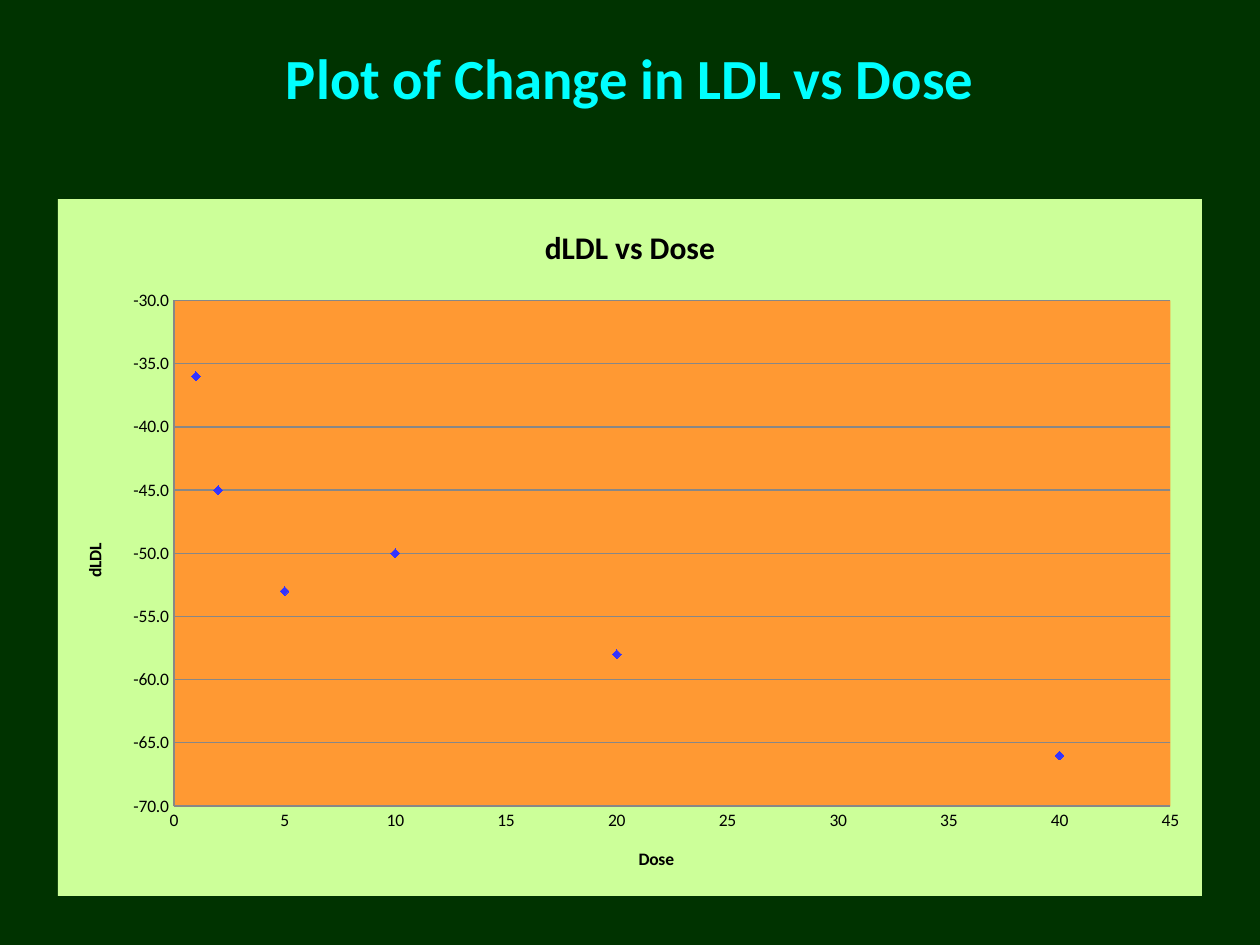
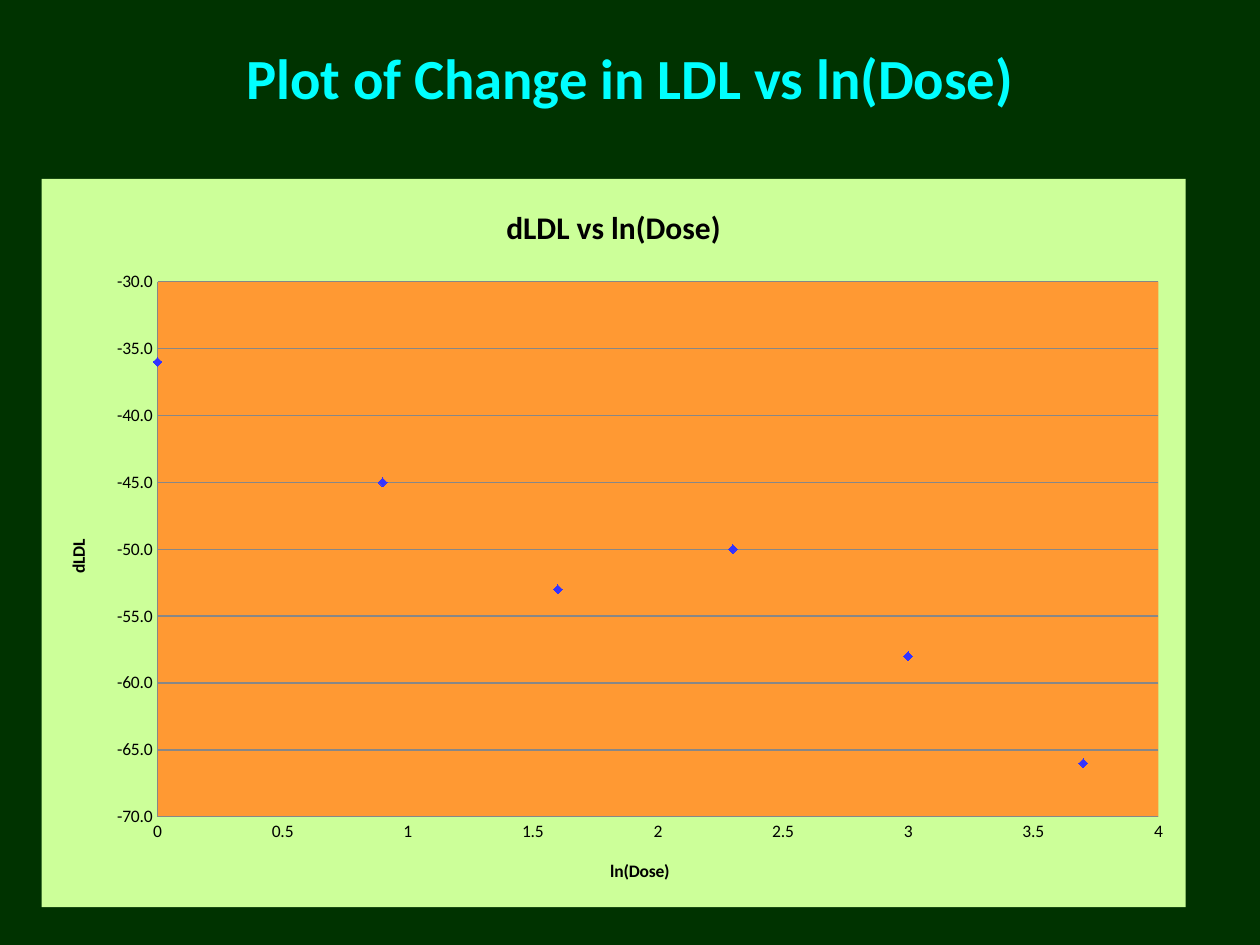
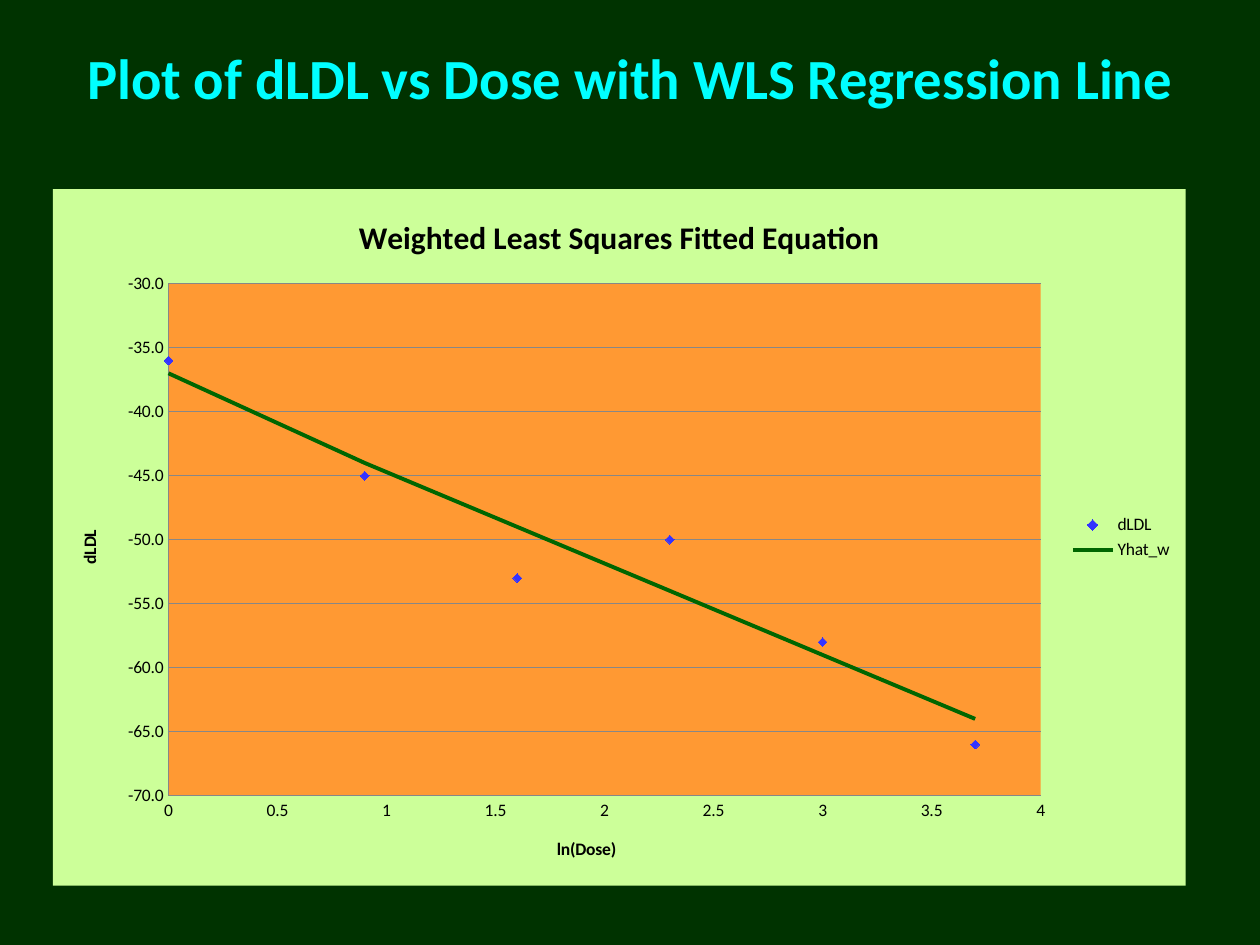
from pptx import Presentation
from pptx.chart.data import XyChartData
from pptx.dml.color import RGBColor
from pptx.enum.chart import (XL_AXIS_CROSSES, XL_CHART_TYPE, XL_LEGEND_POSITION,
                             XL_MARKER_STYLE, XL_TICK_MARK)
from pptx.enum.text import MSO_ANCHOR, PP_ALIGN
from pptx.oxml import parse_xml
from pptx.util import Inches, Pt

SCATTER = XL_CHART_TYPE.XY_SCATTER
DIAMOND, NO_MARKER = XL_MARKER_STYLE.DIAMOND, XL_MARKER_STYLE.NONE
NO_TICK = XL_TICK_MARK.NONE
AT_MINIMUM = XL_AXIS_CROSSES.MINIMUM
LEGEND_RIGHT = XL_LEGEND_POSITION.RIGHT
CENTER, MIDDLE = PP_ALIGN.CENTER, MSO_ANCHOR.MIDDLE
NAMESPACES = ('xmlns:c="http://schemas.openxmlformats.org/drawingml/2006/chart" '
              'xmlns:a="http://schemas.openxmlformats.org/drawingml/2006/main"')

FONT = "Calibri"
COLORS = {
    "background": "003300",
    "title": "00FFFF",
    "chart": "CCFF99",
    "plot": "FF9933",
    "marker": "3333FF",
    "fit": "006600",
    "grid": "878787",
    "text": "000000",
}
COLOR = {name: RGBColor.from_string(value) for name, value in COLORS.items()}

DOSE = [1, 2, 5, 10, 20, 40]
LN_DOSE = [0, 0.9, 1.6, 2.3, 3, 3.7]
LDL_CHANGE = [-36, -45, -53, -50, -58, -66]
FITTED = [-37, -44, -49, -54, -59, -64]

# "inner" gives the plot's left, top, width and height as shares of the chart.
PLOTS = [
    {"title": "Plot of Change in LDL vs Dose", "chart_title": "dLDL vs Dose",
     "at": (0.46, 1.58, 9.08, 5.53), "x_title": "Dose", "x": DOSE,
     "x_max": 45, "x_step": 5, "series": {"Series 1": LDL_CHANGE}},
    {"title": "Plot of Change in LDL vs ln(Dose)", "chart_title": "dLDL vs ln(Dose)",
     "at": (0.33, 1.42, 9.08, 5.78), "x_title": "ln(Dose)", "x": LN_DOSE,
     "x_max": 4, "x_step": 0.5, "series": {"Series 1": LDL_CHANGE}},
    {"title": "Plot of dLDL vs Dose with WLS Regression Line",
     "chart_title": "Weighted Least Squares Fitted Equation",
     "at": (0.42, 1.5, 8.99, 5.53), "x_title": "ln(Dose)", "x": LN_DOSE,
     "x_max": 4, "x_step": 0.5, "series": {"dLDL": LDL_CHANGE, "Yhat_w": FITTED},
     "inner": {"x": 0.102, "y": 0.136, "w": 0.77, "h": 0.735}},
]


def write(frame, text, size=10, color="text", bold=True):
    para = frame.paragraphs[0]
    para.alignment = CENTER
    span = para.add_run()
    span.text = text
    span.font.name = FONT
    span.font.size = Pt(size)
    span.font.bold = bold
    span.font.color.rgb = COLOR[color]


def area_fill(color):
    """Return chart shape properties with a solid fill and no outline."""
    return parse_xml(
        f'<c:spPr {NAMESPACES}>'
        f'<a:solidFill><a:srgbClr val="{COLORS[color]}"/></a:solidFill>'
        '<a:ln><a:noFill/></a:ln></c:spPr>')


deck = Presentation()
deck.slide_width, deck.slide_height = Inches(10), Inches(7.5)
blank_layout = deck.slide_layouts[6]

for plot in PLOTS:
    page = deck.slides.add_slide(blank_layout)
    page.background.fill.solid()
    page.background.fill.fore_color.rgb = COLOR["background"]

    box = page.shapes.add_textbox(Inches(0.5), Inches(0.3), Inches(9), Inches(0.62))
    box.text_frame.word_wrap = True
    box.text_frame.vertical_anchor = MIDDLE
    write(box.text_frame, plot["title"], size=32.4, color="title")

    data = XyChartData()
    for name, values in plot["series"].items():
        points = data.add_series(name)
        for x, y in zip(plot["x"], values):
            points.add_data_point(x, y)
    chart = page.shapes.add_chart(SCATTER, *map(Inches, plot["at"]), data).chart
    chart.font.name = FONT
    chart.font.size = Pt(10)
    chart.font.color.rgb = COLOR["text"]
    chart.has_title = True
    write(chart.chart_title.text_frame, plot["chart_title"], size=18)
    chart.chart_title.include_in_layout = False
    chart.plots[0].vary_by_categories = False

    chart_part = chart.element.find("{*}chart")
    chart_part.addnext(area_fill("chart"))
    plot_area = chart_part.find("{*}plotArea")
    plot_area.append(area_fill("plot"))
    if "inner" in plot:
        for automatic in plot_area.findall("{*}layout"):
            plot_area.remove(automatic)
        shares = "".join(f'<c:{side} val="{share}"/>'
                         for side, share in plot["inner"].items())
        plot_area.insert(0, parse_xml(
            f'<c:layout {NAMESPACES}><c:manualLayout><c:layoutTarget val="inner"/>'
            '<c:xMode val="edge"/><c:yMode val="edge"/>'
            f'{shares}</c:manualLayout></c:layout>'))

    x_axis, y_axis = chart.category_axis, chart.value_axis
    for axis, title, low, high, step, number_format in (
            (x_axis, plot["x_title"], 0, plot["x_max"], plot["x_step"], "General"),
            (y_axis, "dLDL", -70, -30, 5, "0.0")):
        axis.has_title = True
        write(axis.axis_title.text_frame, title)
        axis.minimum_scale, axis.maximum_scale, axis.major_unit = low, high, step
        axis.major_tick_mark = axis.minor_tick_mark = NO_TICK
        axis.crosses = AT_MINIMUM
        axis.tick_labels.number_format = number_format
        axis.tick_labels.number_format_is_linked = False
        axis.format.line.color.rgb = COLOR["grid"]
        axis.format.line.width = Pt(0.75)
    x_axis.has_major_gridlines = False
    y_axis.has_major_gridlines = True
    y_axis.major_gridlines.format.line.color.rgb = COLOR["grid"]
    y_axis.major_gridlines.format.line.width = Pt(0.75)

    for series in chart.plots[0].series:
        series.smooth = False
        if series.name == "Yhat_w":
            series.marker.style = NO_MARKER
            series.format.line.color.rgb = COLOR["fit"]
            series.format.line.width = Pt(2.25)
        else:
            series.format.line.fill.background()
            series.marker.style = DIAMOND
            series.marker.size = 5
            series.marker.format.fill.solid()
            series.marker.format.fill.fore_color.rgb = COLOR["marker"]
            series.marker.format.line.color.rgb = COLOR["marker"]

    chart.has_legend = len(plot["series"]) > 1
    if chart.has_legend:
        chart.legend.position = LEGEND_RIGHT
        chart.legend.include_in_layout = False

deck.save("out.pptx")
